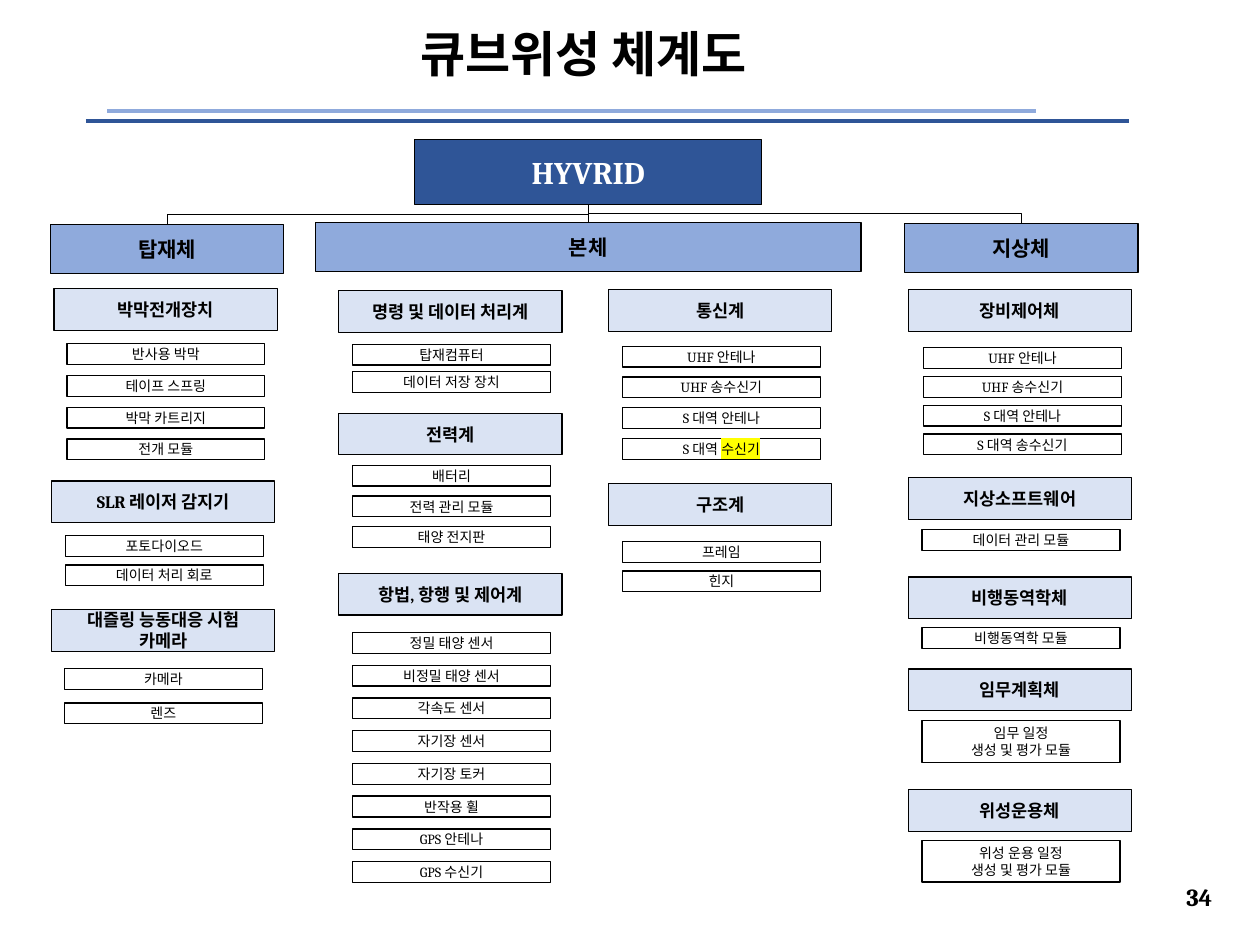
from pptx import Presentation
from pptx import util as u
from pptx.dml.color import RGBColor
from pptx.enum import shapes, text
from pptx.oxml.ns import qn
from lxml import etree

BLACK = RGBColor(0x00, 0x00, 0x00)
WHITE = RGBColor(0xFF, 0xFF, 0xFF)
NAVY = RGBColor(0x2F, 0x55, 0x97)
BLUE = RGBColor(0x8F, 0xAA, 0xDC)
PALE = RGBColor(0xDA, 0xE3, 0xF3)
YELLOW = RGBColor(0xFF, 0xFF, 0x00)

HEADING_WIDTH, HEADING_HEIGHT = 4.5, 0.84
PART_WIDTH, PART_HEIGHT = 3.99, 0.42

# Heading, heading left and top, parts left and top, step between parts, parts
GROUPS = [
    ("박막전개장치", 1.09, 5.82, 1.35, 6.93, 0.64,
     ["반사용 박막", "테이프 스프링", "박막 카트리지", "전개 모듈"]),
    ("SLR 레이저 감지기", 1.04, 9.7, 1.32, 10.8, 0.59,
     ["포토다이오드", "데이터 처리 회로"]),
    ("대즐링 능동대응 시험\n카메라", 1.04, 12.29, 1.3, 13.48, 0.69,
     ["카메라", "렌즈"]),
    ("명령 및 데이터 처리계", 6.83, 5.86, 7.11, 6.94, 0.55,
     ["탑재컴퓨터", "데이터 저장 장치"]),
    ("전력계", 6.83, 8.33, 7.11, 9.38, 0.62,
     ["배터리", "전력 관리 모듈", "태양 전지판"]),
    ("항법, 항행 및 제어계", 6.83, 11.56, 7.11, 12.75, 0.66,
     ["정밀 태양 센서", "비정밀 태양 센서", "각속도 센서", "자기장 센서",
      "자기장 토커", "반작용 휠", "GPS 안테나", "GPS 수신기"]),
    ("통신계", 12.27, 5.84, 12.55, 6.98, 0.62,
     ["UHF 안테나", "UHF 송수신기", "S 대역 안테나", ("S 대역 ", "수신기")]),
    ("구조계", 12.27, 9.75, 12.55, 10.92, 0.59, ["프레임", "힌지"]),
    ("장비제어체", 18.31, 5.84, 18.62, 7.01, 0.58,
     ["UHF 안테나", "UHF 송수신기", "S 대역 안테나", "S 대역 송수신기"]),
    ("지상소프트웨어", 18.31, 9.63, 18.59, 10.68, 0, ["데이터 관리 모듈"]),
    ("비행동역학체", 18.31, 11.63, 18.59, 12.65, 0, ["비행동역학 모듈"]),
    ("임무계획체", 18.31, 13.49, 18.59, 14.53, 0,
     ["임무 일정\n생성 및 평가 모듈"]),
    ("위성운용체", 18.31, 15.92, 18.59, 16.94, 0,
     ["위성 운용 일정\n생성 및 평가 모듈"]),
]


class ChartSlide:
    font_name = "Cambria"
    outline = 0.75

    def __init__(self, slide):
        self.slide = slide

    def add_text(self, shape, content, size, bold=True, color=BLACK,
                 align=text.PP_ALIGN.CENTER, spacing=None):
        """Fill a shape with text; the second part of a tuple is highlighted."""
        frame = shape.text_frame
        frame.word_wrap = True
        frame.vertical_anchor = text.MSO_ANCHOR.MIDDLE
        lines = [content] if isinstance(content, tuple) else [
            (line,) for line in content.split("\n")]
        font_format = {"name": self.font_name, "size": u.Pt(size), "bold": bold}
        for number, parts in enumerate(lines):
            paragraph = frame.add_paragraph() if number else frame.paragraphs[0]
            paragraph.alignment = align
            paragraph.line_spacing = spacing
            for position, part in enumerate(parts):
                run = paragraph.add_run()
                run.text = part
                for name, value in font_format.items():
                    setattr(run.font, name, value)
                run.font.color.rgb = color
                if position:
                    self.highlight(run)

    def highlight(self, run):
        mark = etree.Element(qn("a:highlight"))
        etree.SubElement(mark, qn("a:srgbClr"), val=str(YELLOW))
        run._r.rPr.find(qn("a:solidFill")).addnext(mark)

    def label(self, content, left, top, width, height, size, **style):
        shape = self.slide.shapes.add_textbox(*map(u.Cm, (left, top, width, height)))
        self.add_text(shape, content, size, **style)

    def box(self, content, left, top, width, height, fill, size, **style):
        shape = self.slide.shapes.add_shape(
            shapes.MSO_SHAPE.RECTANGLE, *map(u.Cm, (left, top, width, height)))
        shape.shadow.inherit = False
        shape.fill.solid()
        shape.fill.fore_color.rgb = fill
        shape.line.color.rgb = BLACK
        shape.line.width = u.Pt(self.outline)
        self.add_text(shape, content, size, **style)
        return shape

    def connector(self, kind, ends, color=BLACK, width=outline):
        line = self.slide.shapes.add_connector(kind, *ends)
        line.line.color.rgb = color
        line.line.width = u.Pt(width)
        etree.SubElement(line._element.spPr, qn("a:effectLst"))
        return line

    def rule(self, left, right, top, color):
        ends = map(u.Cm, (left, top, right, top))
        self.connector(shapes.MSO_CONNECTOR.STRAIGHT, ends, color, 2.25)

    def link(self, parent, child):
        """Join the bottom of the parent to the top of a child right below it."""
        line = self.connector(shapes.MSO_CONNECTOR.STRAIGHT, (0, 0, 0, 0))
        line.begin_connect(parent, 2)
        line.end_connect(child, 0)

    def elbow(self, parent, child):
        """Go down, across and down, as a turned elbow connector."""
        start_x = parent.left + parent.width // 2
        end_x = child.left + child.width // 2
        start_y, end_y = parent.top + parent.height, child.top
        rise, span = end_y - start_y, abs(end_x - start_x)
        left = (start_x + end_x - rise) // 2
        top = (start_y + end_y - span) // 2
        sides = [left, left + rise]
        to_right = end_x > start_x
        if to_right:
            sides.reverse()
        line = self.connector(shapes.MSO_CONNECTOR.ELBOW,
                              (sides[0], top, sides[1], top + span))
        frame = line._element.spPr.find(qn("a:xfrm"))
        frame.set("rot", str((270 if to_right else 90) * 60000))

    def group(self, heading, left, top, part_left, part_top, step, parts):
        self.box(heading, left, top, HEADING_WIDTH, HEADING_HEIGHT, PALE, 10)
        for number, part in enumerate(parts):
            height = PART_HEIGHT * (2 if "\n" in part else 1)
            self.box(part, part_left, part_top + number * step, PART_WIDTH,
                     height, WHITE, 8, bold=False)


def main():
    presentation = Presentation()
    presentation.slide_width = u.Cm(25.4)
    presentation.slide_height = u.Cm(19.05)
    chart = ChartSlide(presentation.slides.add_slide(presentation.slide_layouts[6]))

    chart.rule(1.73, 22.76, 2.44, NAVY)
    chart.rule(2.16, 20.88, 2.24, BLUE)
    chart.label("34", 21.97, 17.58, 2.72, 0.99, 14, align=text.PP_ALIGN.RIGHT)
    chart.label("큐브위성 체계도", 2.46, 0.2, 18.62, 1.9, 28, spacing=0.9)

    root = chart.box("HYVRID", 8.36, 2.82, 7, 1.3, NAVY, 18, color=WHITE)
    payload = chart.box("탑재체", 1.02, 4.52, 4.7, 0.99, BLUE, 12)
    body = chart.box("본체", 6.36, 4.48, 11, 0.99, BLUE, 12)
    ground = chart.box("지상체", 18.24, 4.5, 4.7, 0.99, BLUE, 12)
    for group in GROUPS:
        chart.group(*group)
    chart.elbow(root, payload)
    chart.link(root, body)
    chart.elbow(root, ground)

    presentation.save("out.pptx")


if __name__ == "__main__":
    main()
